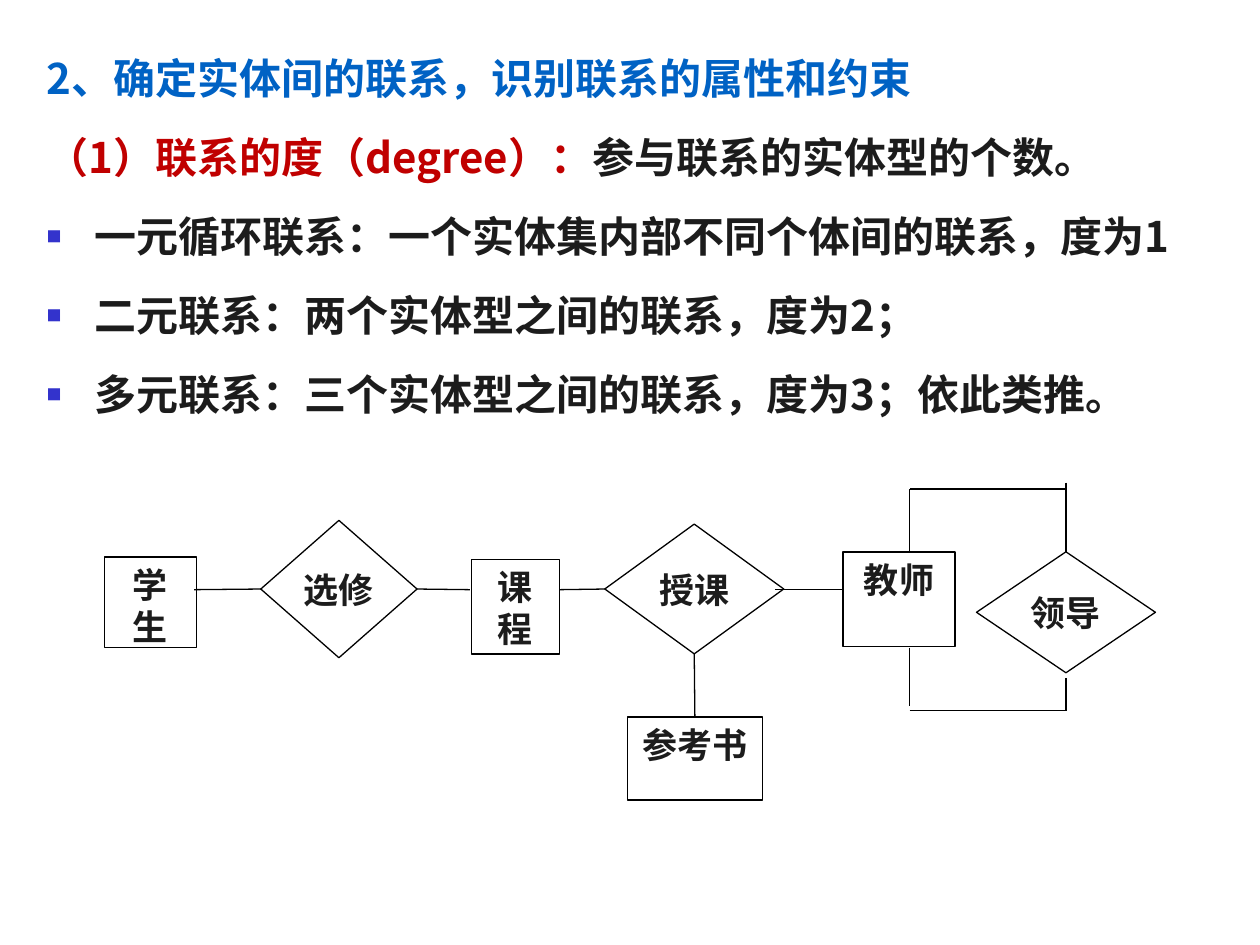
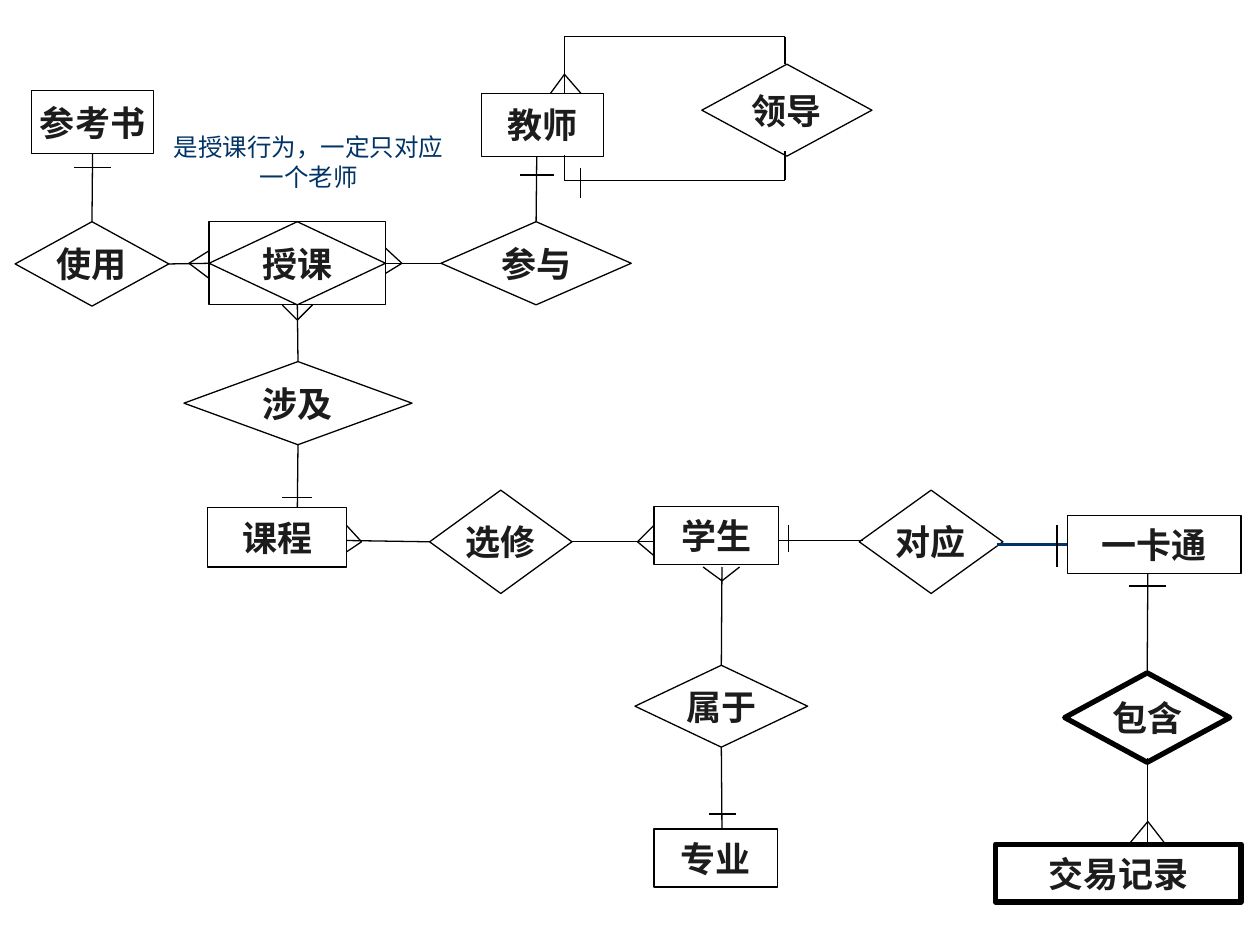
from lxml import etree
from pptx import Presentation, util as u
from pptx.dml.color import RGBColor
from pptx.enum import shapes, text
from pptx.oxml import ns

BLACK = RGBColor(0x00, 0x00, 0x00)
WHITE = RGBColor(0xFF, 0xFF, 0xFF)
INK = RGBColor(0x1C, 0x1C, 0x1C)
BLUE = RGBColor(0x00, 0x62, 0xC4)
RED = RGBColor(0xC0, 0x00, 0x00)
NAVY = RGBColor(0x00, 0x33, 0x66)
SANS = "Noto Sans CJK SC"
BOX = shapes.MSO_SHAPE.RECTANGLE
GEM = shapes.MSO_SHAPE.DIAMOND
THIN, THICK = 0.75, 3


def sub(parent, tag, **attrs):
    return etree.SubElement(parent, ns.qn(tag), attrs)


def ink(run, size, color, face=SANS, bold=True):
    run.font.size = u.Pt(size)
    run.font.bold = bold
    run.font.color.rgb = color
    run.font.name = face
    sub(run.font._element, "a:ea", typeface=face)


deck = Presentation()
deck.slide_width = u.Inches(10)
deck.slide_height = u.Inches(7.5)

degree = deck.slides.add_slide(deck.slide_layouts[1])
title = degree.shapes.title._element
title.getparent().remove(title)
body = degree.placeholders[1]
body.left, body.top = u.Inches(0.27), u.Inches(0.21)
body.width, body.height = u.Inches(9.73), u.Inches(3.31)
frame = body.text_frame
frame.auto_size = text.MSO_AUTO_SIZE.NONE
frame.vertical_anchor = text.MSO_ANCHOR.TOP
points = [
    (False, [("2、确定实体间的联系，识别联系的属性和约束", BLUE)]),
    (False, [("（1）联系的度（degree）：", RED), ("参与联系的实体型的个数。", INK)]),
    (True, [("一元循环联系：一个实体集内部不同个体间的联系，度为1", INK)]),
    (True, [("二元联系：两个实体型之间的联系，度为2；", INK)]),
    (True, [("多元联系：三个实体型之间的联系，度为3；依此类推。", INK)]),
]
for row, (dot, parts) in enumerate(points):
    par = frame.add_paragraph() if row else frame.paragraphs[0]
    par.line_spacing = 1.4
    par.space_before = u.Pt(4.8 if row else 0)
    props = par._p.get_or_add_pPr()
    props.set("marL", str(u.Inches(0.38)))
    props.set("indent", str(-u.Inches(0.38)))
    if dot:
        sub(sub(props, "a:buClr"), "a:srgbClr", val="3333CC")
        sub(props, "a:buSzPct", val="36000")
        sub(props, "a:buFont", typeface=SANS)
        sub(props, "a:buChar", char="■")
    else:
        sub(props, "a:buNone")
    for words, color in parts:
        run = par.add_run()
        run.text = words
        ink(run, 24, color)

model = deck.slides.add_slide(deck.slide_layouts[6])

degree_nodes = [
    (BOX, "教师", 6.69, 4.38, 0.89, 0.75, THIN),
    (GEM, "授课", 4.8, 4.16, 1.42, 1.03, THIN),
    (BOX, "参考书", 4.98, 5.69, 1.07, 0.66, THIN),
    (BOX, "学生", 0.83, 4.42, 0.73, 0.72, THIN),
    (GEM, "领导", 7.75, 4.38, 1.42, 0.96, THIN),
    (BOX, "课程", 3.74, 4.44, 0.7, 0.75, THIN),
    (GEM, "选修", 2.07, 4.13, 1.24, 1.09, THIN),
]
degree_lines = [
    (4.8, 4.68, 4.44, 4.68),
    (7.22, 4.38, 7.22, 3.88),
    (8.46, 3.88, 7.22, 3.88),
    (8.46, 3.83, 8.46, 4.38),
    (7.22, 5.14, 7.22, 5.6),
    (3.73, 4.68, 3.31, 4.68),
    (5.51, 5.19, 5.51, 5.69),
    (2.07, 4.68, 1.54, 4.68),
    (8.46, 5.38, 8.46, 5.64),
    (7.22, 5.64, 8.46, 5.64),
    (6.15, 4.68, 6.69, 4.68),
]

model_nodes = [
    (GEM, "涉及", 1.46, 2.87, 1.81, 0.66, THIN),
    (BOX, "课程", 1.65, 4.03, 1.1, 0.47, THIN),
    (BOX, "专业", 5.19, 6.58, 0.98, 0.46, THIN),
    (GEM, "属于", 5.04, 5.28, 1.37, 0.65, THIN),
    (BOX, "学生", 5.19, 4.02, 0.99, 0.46, THIN),
    (BOX, "一卡通", 8.47, 4.09, 1.38, 0.46, THIN),
    (GEM, "对应", 6.82, 3.89, 1.14, 0.82, THIN),
    (GEM, "选修", 3.41, 3.89, 1.13, 0.82, THIN),
    (BOX, "交易记录", 7.9, 6.7, 1.95, 0.46, THICK),
    (GEM, "包含", 8.45, 5.34, 1.31, 0.71, THICK),
    (GEM, "授课", 1.66, 1.76, 1.4, 0.66, THIN),
    (BOX, "", 1.66, 1.76, 1.4, 0.66, THIN),
    (GEM, "使用", 0.12, 1.76, 1.22, 0.67, THIN),
    (GEM, "参与", 3.5, 1.76, 1.51, 0.66, THIN),
    (GEM, "领导", 5.57, 0.51, 1.35, 0.73, THIN),
    (BOX, "参考书", 0.25, 0.72, 0.97, 0.5, THIN),
    (BOX, "教师", 3.82, 0.74, 0.97, 0.5, THIN),
]
model_lines = [
    (2.36, 3.53, 2.36, 4.03),
    (5.73, 5.93, 5.73, 6.58),
    (4.54, 4.3, 5.19, 4.3),
    (9.11, 5.34, 9.11, 4.55),
    (9.11, 6.02, 9.11, 6.7),
    (5.73, 4.5, 5.73, 5.28),
    (6.85, 4.29, 6.18, 4.29),
    (2.75, 4.29, 3.41, 4.29),
    (0.73, 1.23, 0.73, 1.76),
    (1.34, 2.09, 1.66, 2.09),
    (3.06, 2.09, 3.5, 2.09),
    (4.26, 1.76, 4.26, 1.24),
    (2.36, 2.42, 2.36, 2.87),
    (4.48, 0.74, 4.48, 0.29),
    (4.48, 0.29, 6.23, 0.29),
    (6.23, 0.29, 6.23, 0.51),
    (4.48, 1.23, 4.48, 1.43),
    (4.48, 1.43, 6.23, 1.43),
    (6.23, 1.43, 6.23, 1.2),
    (7.91, 4.32, 8.47, 4.32),
]
for x, top, low in [(6.26, 4.17, 4.38), (8.39, 4.17, 4.5), (4.61, 1.33, 1.57)]:
    model_lines.append((x, top, x, low))
for y, left, right in [(6.46, 5.63, 5.84), (3.95, 2.24, 2.48), (1.39, 4.13, 4.4),
                       (1.33, 0.59, 0.88), (4.65, 8.96, 9.25)]:
    model_lines.append((right, y, left, y))
for x, y, edge, top, low in [(5.06, 4.3, 5.19, 4.17, 4.41), (2.87, 4.3, 2.75, 4.17, 4.38),
                             (1.5, 2.09, 1.66, 1.99, 2.21), (3.19, 2.09, 3.06, 1.97, 2.17)]:
    model_lines += [(x, y, edge, top), (x, y, edge, low)]
for x, y, edge, left, right in [(5.73, 4.61, 4.5, 5.58, 5.87), (2.36, 2.54, 2.42, 2.24, 2.48),
                                (9.11, 6.52, 6.7, 8.96, 9.25), (4.48, 0.59, 0.74, 4.37, 4.61)]:
    model_lines += [(x, y, left, edge), (x, y, right, edge)]

charts = [(degree, degree_nodes, degree_lines), (model, model_nodes, model_lines)]
for slide, nodes, lines in charts:
    sites = []
    for kind, name, x, y, w, h, width in nodes:
        node = slide.shapes.add_shape(kind, *map(u.Inches, (x, y, w, h)))
        node.shadow.inherit = False
        node.line.color.rgb = BLACK
        node.line.width = u.Pt(width)
        mids = [(x + w / 2, y), (x, y + h / 2), (x + w / 2, y + h), (x + w, y + h / 2)]
        sites += [(node, side, *mid) for side, mid in enumerate(mids)]
        if not name:
            node.fill.background()
            continue
        node.fill.solid()
        node.fill.fore_color.rgb = WHITE
        frame = node.text_frame
        frame.word_wrap = True
        frame.vertical_anchor = text.MSO_ANCHOR.TOP
        if slide is model or kind == GEM:
            frame.vertical_anchor = text.MSO_ANCHOR.MIDDLE
            frame.margin_left = frame.margin_right = 0
            frame.margin_top = frame.margin_bottom = 0
        frame.text = name
        par = frame.paragraphs[0]
        par.alignment = text.PP_ALIGN.LEFT if name == "对应" else text.PP_ALIGN.CENTER
        ink(par.runs[0], 20, INK)

    for ends in lines:
        wire = slide.shapes.add_connector(shapes.MSO_CONNECTOR.STRAIGHT, *map(u.Inches, ends))
        card = ends == (7.91, 4.32, 8.47, 4.32)
        wire.line.color.rgb = NAVY if card else BLACK
        wire.line.width = u.Pt(1.5 if card else THIN)
        sub(wire._element.spPr, "a:effectLst")
        for join, x, y in [(wire.begin_connect, *ends[:2]), (wire.end_connect, *ends[2:])]:
            for node, side, across, down in sites:
                if max(abs(across - x), abs(down - y)) < 0.011:
                    join(node, side)
                    break

note = model.shapes.add_textbox(*map(u.Inches, (1.23, 1, 2.44, 0.57)))
frame = note.text_frame
frame.word_wrap = True
frame.auto_size = text.MSO_AUTO_SIZE.SHAPE_TO_FIT_TEXT
frame.text = "是授课行为，一定只对应一个老师"
frame.paragraphs[0].alignment = text.PP_ALIGN.CENTER
ink(frame.paragraphs[0].runs[0], 14, NAVY, "Roboto", False)

deck.save("out.pptx")
